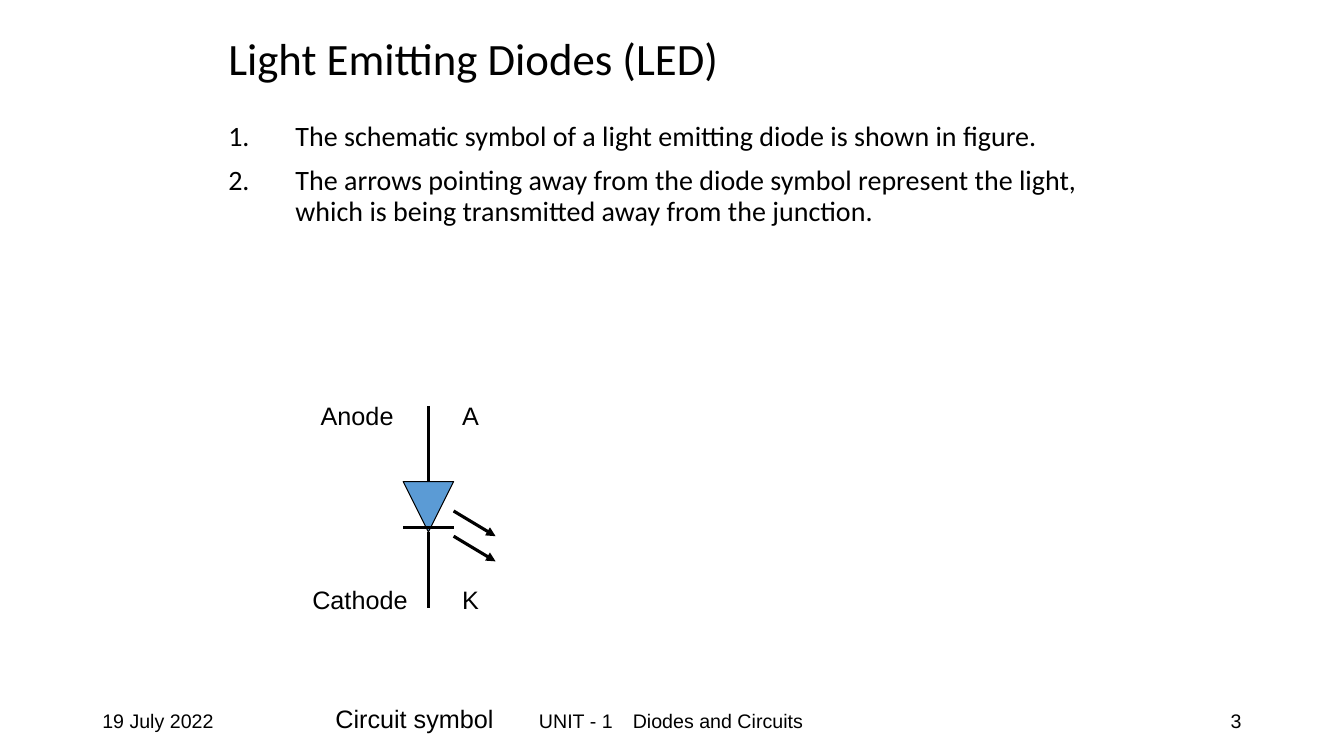
from lxml.etree import SubElement
from pptx import Presentation
from pptx.dml.color import RGBColor
from pptx.enum.shapes import MSO_CONNECTOR, MSO_SHAPE
from pptx.enum.text import MSO_ANCHOR, PP_ALIGN
from pptx.oxml.ns import qn
from pptx.util import Pt

HUES = {"ink": "000000", "diode": "5B9BD5"}

# Format values: font, paragraph and frame
TITLE = {"font": {"name": "Calibri", "size": Pt(32)},
         "para": {"line_spacing": 0.9},
         "frame": {"vertical_anchor": MSO_ANCHOR.MIDDLE}}
BODY = {"font": {"name": "Calibri", "size": Pt(20)},
        "para": {"line_spacing": 0.9, "space_before": Pt(10)},
        "frame": {}}
LABEL = {"font": {"name": "Arial", "size": Pt(18)}, "para": {}, "frame": {}}
FOOT = {"font": {"name": "Arial", "size": Pt(14)}, "para": {},
        "frame": {"vertical_anchor": MSO_ANCHOR.MIDDLE}}
PAGE = {**FOOT, "para": {"alignment": PP_ALIGN.RIGHT}}
UNIT = {**FOOT, "frame": {**FOOT["frame"], "margin_left": Pt(67)}}


def hue(name):
    return RGBColor.from_string(HUES[name])


def apply(item, values):
    for key, value in values.items():
        setattr(item, key, value)


def add_text(slide, box, lines, style, tab=None, listed=False):
    frame = slide.shapes.add_textbox(*map(Pt, box)).text_frame
    frame.word_wrap = True
    apply(frame, style["frame"])
    for i, line in enumerate(lines):
        para = frame.paragraphs[0] if i == 0 else frame.add_paragraph()
        apply(para, style["para"])
        run = para.add_run()
        run.text = line
        apply(run.font, style["font"])
        run.font.color.rgb = hue("ink")
        props = para._p.get_or_add_pPr()
        if listed:
            props.set("marL", str(Pt(48)))
            props.set("indent", str(-Pt(48)))
            SubElement(props, qn("a:buFont"), typeface="+mj-lt")
            SubElement(props, qn("a:buAutoNum"), type="arabicPeriod")
        if tab:
            stops = SubElement(props, qn("a:tabLst"))
            SubElement(stops, qn("a:tab"), pos=str(Pt(tab)), algn="l")


def add_line(slide, ends, arrow=False):
    line = slide.shapes.add_connector(MSO_CONNECTOR.STRAIGHT, *map(Pt, ends))
    line.line.color.rgb = hue("ink")
    line.line.width = Pt(2.25)
    if arrow:
        SubElement(line.line._get_or_add_ln(), qn("a:tailEnd"), type="triangle")
    SubElement(line._element.spPr, qn("a:effectLst"))


def add_diode(slide, box):
    shape = slide.shapes.add_shape(MSO_SHAPE.FLOWCHART_EXTRACT, *map(Pt, box))
    shape.rotation = 180
    shape.shadow.inherit = False
    shape.fill.solid()
    shape.fill.fore_color.rgb = hue("diode")
    shape.line.color.rgb = hue("ink")
    shape.line.width = Pt(0.75)


def main():
    deck = Presentation()
    deck.slide_width, deck.slide_height = Pt(960), Pt(540)
    slide = deck.slides.add_slide(deck.slide_layouts[6])

    # Title and numbered points
    add_text(slide, (156, 21.6, 648, 44.6), ["Light Emitting Diodes (LED)"], TITLE)
    add_text(slide, (156, 84, 648, 422.6), [
        "The schematic symbol of a light emitting diode is shown in figure.",
        "The arrows pointing away from the diode symbol represent the light, "
        "which is being transmitted away from the junction.",
    ], BODY, listed=True)

    # Diode with its bar and two leads
    add_diode(slide, (288, 344, 36, 36))
    add_line(slide, (288, 376.5, 324, 376.5))
    for top in (290, 380):
        add_line(slide, (306, top, 306, top + 54))

    # Light leaving the junction
    for top in (365, 383):
        add_line(slide, (324, top, 354, top + 18), arrow=True)

    # Terminal names and caption
    add_text(slide, (222, 282.5, 133, 29), ["Anode\tA"], LABEL, tab=101)
    add_text(slide, (216, 414, 140, 29), ["Cathode\tK"], LABEL, tab=107)
    add_text(slide, (232.5, 499, 128, 29), ["Circuit symbol"], LABEL)

    # Footer
    add_text(slide, (66, 500.5, 216, 29), ["19 July 2022"], FOOT)
    add_text(slide, (318, 500.5, 324, 29), ["UNIT - 1\tDiodes and Circuits"],
             UNIT, tab=67)
    add_text(slide, (678, 500.5, 216, 29), ["3"], PAGE)

    deck.save("out.pptx")


if __name__ == "__main__":
    main()
